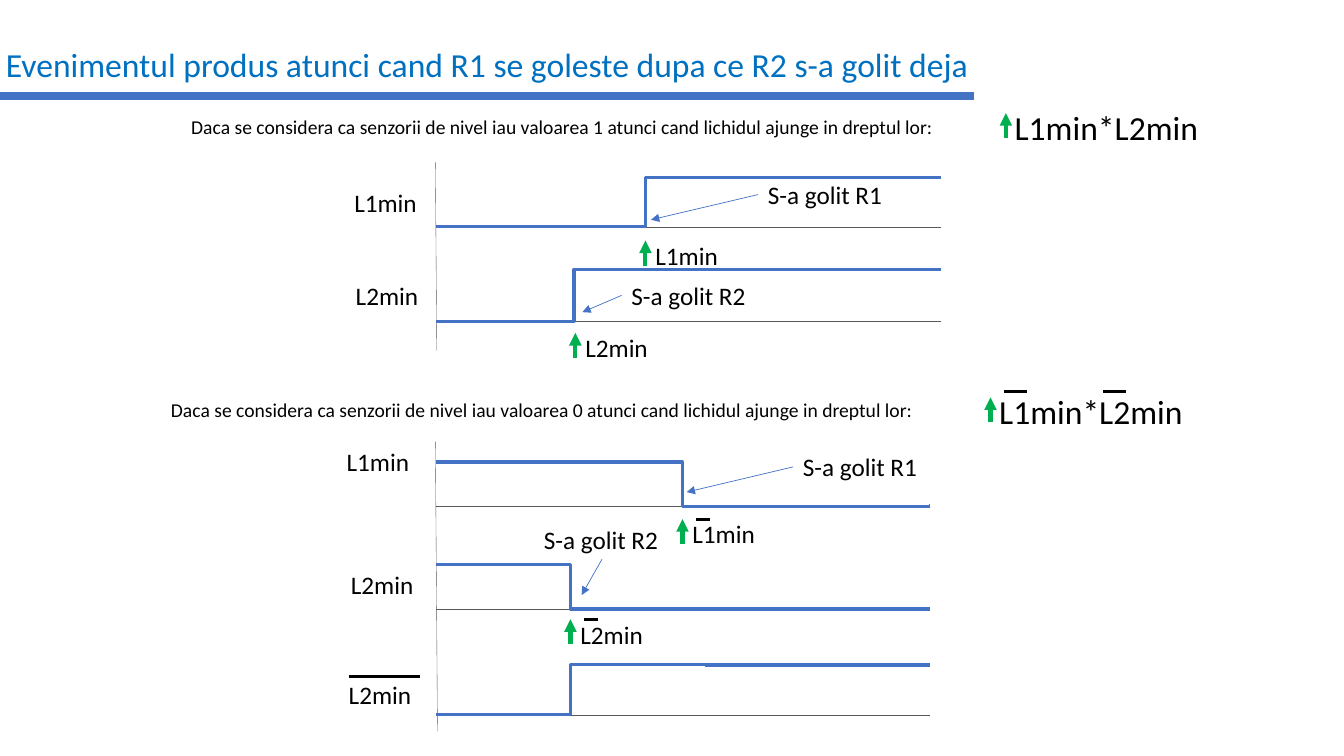
from pptx import Presentation
from pptx.dml.color import RGBColor
from pptx.enum.shapes import MSO_CONNECTOR, MSO_SHAPE
from pptx.enum.text import MSO_ANCHOR, MSO_AUTO_SIZE, PP_ALIGN
from pptx.oxml.ns import qn
from pptx.util import Pt
from lxml.etree import SubElement

COLORS = {"title": "0070C0", "signal": "4472C4", "event": "00B050",
          "axis": "595959", "text": "000000", "paper": "FFFFFF"}

TITLE = "Evenimentul produs atunci cand R1 se goleste dupa ce R2 s-a golit deja"
CAPTION = ("Daca se considera ca senzorii de nivel iau valoarea {} "
           "atunci cand lichidul ajunge in dreptul lor:")
FORMULA = "L1min*L2min"

# Signal: name, name position, edge x, level before, level after, negated
# Event: name, edge x, top
# Callout: wording, text position, arrow start, arrow end
DIAGRAMS = [
    {"value": 1, "caption": (129.5, 78.5), "formula": (713.5, 76.5), "negated": False,
     "axis": (311, 116, 312, 250.5), "end": 672,
     "signals": [("L1min", (246, 130.5), 461, 162, 127, False),
                 ("L2min", (247, 196.5), 410, 229.5, 192.5, False)],
     "events": [("L1min", 461, 168), ("L2min", 411, 234)],
     "callouts": [("S-a golit R1", (541.5, 124.5), (541.5, 139), (465, 157)),
                  ("S-a golit R2", (444, 196.5), (444, 211), (416, 223))]},
    {"value": 0, "caption": (115, 281), "formula": (702.5, 279.5), "negated": True,
     "axis": (311, 315.5, 312.5, 522.5), "end": 664.5,
     "signals": [("L1min", (240.5, 315.5), 487.5, 330, 361.5, False),
                 ("L2min", (243.5, 403), 407.5, 403.5, 435, False),
                 ("L2min", (242, 481.5), 407.5, 510.5, 475, True)],
     "events": [("L1min", 487.5, 367), ("L2min", 407.5, 438.5)],
     "callouts": [("S-a golit R1", (566.5, 319), (566.5, 333.5), (490.5, 351.5)),
                  ("S-a golit R2", (381.5, 371), (430, 399.5), (415.5, 425))]},
]

deck = Presentation()
deck.slide_width, deck.slide_height = Pt(960), Pt(540)
slide = deck.slides.add_slide(deck.slide_layouts[5])


def color(name):
    return RGBColor.from_string(COLORS[name])


def add_line(x1, y1, x2, y2, ink, width, arrow=False, kind=MSO_CONNECTOR.STRAIGHT):
    line = slide.shapes.add_connector(kind, Pt(x1), Pt(y1), Pt(x2), Pt(y2))
    line.line.color.rgb = color(ink)
    line.line.width = Pt(width)
    properties = line.element.spPr
    if arrow:
        SubElement(properties.find(qn("a:ln")), qn("a:tailEnd"), type="triangle")
    SubElement(properties, qn("a:effectLst"))


def write(shape, wording, size, ink="text", align=PP_ALIGN.LEFT):
    shape.text_frame.text = wording
    paragraph = shape.text_frame.paragraphs[0]
    paragraph.alignment = align
    font = paragraph.runs[0].font
    font.name, font.size = "Calibri", Pt(size)
    font.color.rgb = color(ink)


def add_text(wording, left, top, width, height=29, size=18, wrap=False):
    box = slide.shapes.add_textbox(Pt(left), Pt(top), Pt(width), Pt(height))
    write(box, wording, size)
    box.text_frame.word_wrap = wrap
    box.text_frame.auto_size = MSO_AUTO_SIZE.SHAPE_TO_FIT_TEXT


def add_overbar(left, top, width):
    add_line(left, top, left + width, top, "text", 2.25)


def add_event_arrow(x, top):
    add_line(x, top + 18, x, top, "event", 3, arrow=True)


def add_signal(start, edge, end, before, after):
    # The elbow steps at its middle; straight pieces fill the rest
    reach = min(edge - start, end - edge)
    first, last = edge - reach, edge + reach
    low = max(before, after)
    add_line(start, low, end, low, "axis", 0.25)
    add_line(first, before, last, after, "signal", 2.25, kind=MSO_CONNECTOR.ELBOW)
    if first > start:
        add_line(start, before, first, before, "signal", 2.25)
    if last < end:
        add_line(last, after, end, after, "signal", 2.25)


def add_formula(left, top, negated):
    box = slide.shapes.add_shape(MSO_SHAPE.RECTANGLE, Pt(left), Pt(top), Pt(153.5), Pt(28.5))
    box.shadow.inherit = False
    box.fill.solid()
    box.fill.fore_color.rgb = color("paper")
    box.line.color.rgb = color("paper")
    box.line.width = Pt(1)
    write(box, FORMULA, 24, align=PP_ALIGN.CENTER)
    box.text_frame.vertical_anchor = MSO_ANCHOR.MIDDLE
    add_event_arrow(left + 5, top + 4.3)
    if negated:
        for offset in (14.5, 85.5):
            add_overbar(left + offset, top, 16.5)


# Title and its rule
title = slide.shapes.title
title.left, title.top, title.width, title.height = Pt(-3), Pt(28), Pt(708), Pt(36)
write(title, TITLE, 24, "title")
title.text_frame.vertical_anchor = MSO_ANCHOR.TOP
title.text_frame.auto_size = MSO_AUTO_SIZE.NONE
add_line(0, 68.5, 695.5, 68.5, "signal", 6)

# Timing diagrams
for diagram in DIAGRAMS:
    add_text(CAPTION.format(diagram["value"]), *diagram["caption"], 570, 24.5, 14, wrap=True)
    add_formula(*diagram["formula"], diagram["negated"])
    add_line(*diagram["axis"], "axis", 0.25)
    start = diagram["axis"][0] + 0.5

    for name, (left, top), edge, before, after, negated in diagram["signals"]:
        add_text(name, left, top, 60)
        add_signal(start, edge, diagram["end"], before, after)
        if negated:
            add_overbar(left + 7, top + 1.5, 51)

    for name, x, top in diagram["events"]:
        add_event_arrow(x, top + 3.8)
        add_text(name, x, top, 60)
        if diagram["negated"]:
            add_overbar(x + 9.5, top + 4, 10)

    for wording, position, tail, tip in diagram["callouts"]:
        add_text(wording, *position, 97)
        add_line(*tail, *tip, "signal", 0.5, arrow=True)

deck.save("out.pptx")
